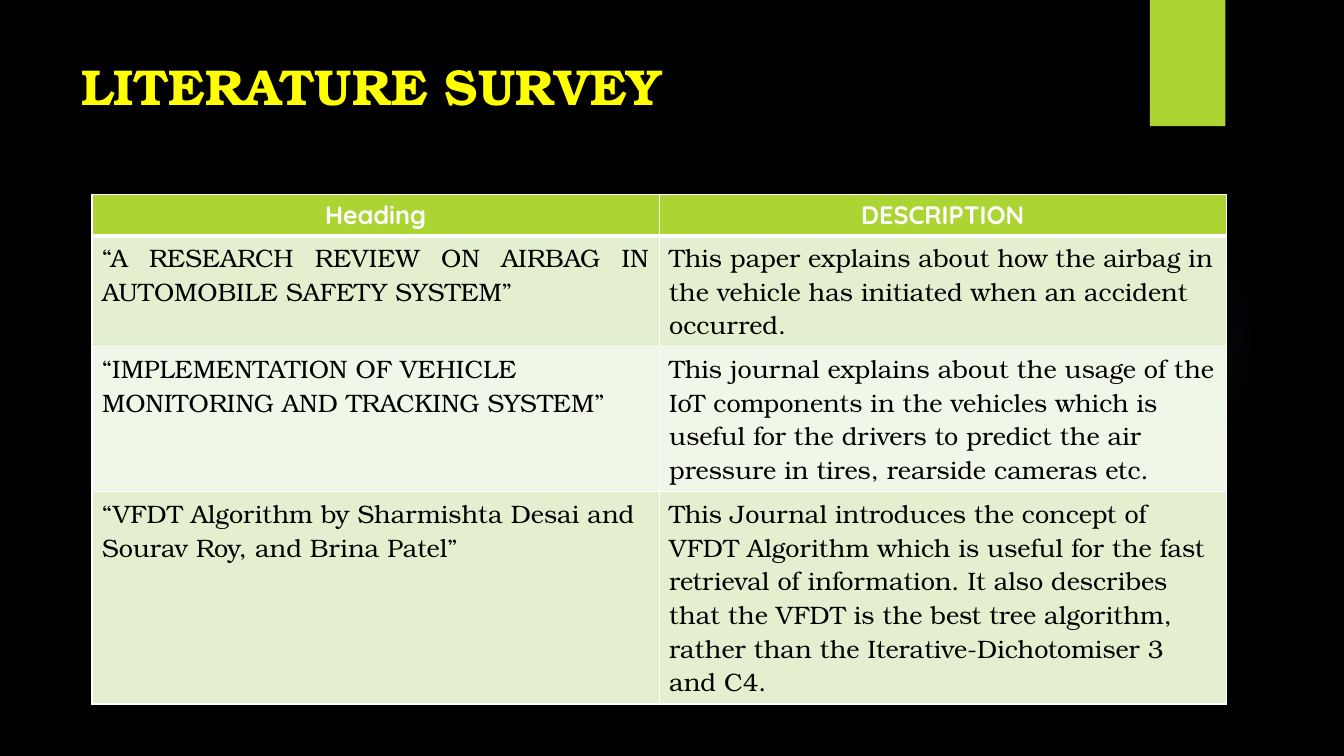
import lxml.etree
import pptx
import pptx.dml.color
import pptx.enum.shapes
import pptx.enum.text
import pptx.oxml
import pptx.oxml.ns
import pptx.util

Cm = pptx.util.Cm
Pt = pptx.util.Pt
RGBColor = pptx.dml.color.RGBColor
Align = pptx.enum.text.PP_ALIGN
Shape = pptx.enum.shapes.MSO_SHAPE

BLACK = RGBColor(0x00, 0x00, 0x00)
WHITE = RGBColor(0xFF, 0xFF, 0xFF)
YELLOW = RGBColor(0xFF, 0xFF, 0x00)
LIME = RGBColor(0xAC, 0xD4, 0x33)
BANDS = (RGBColor(0xE3, 0xEF, 0xCE), RGBColor(0xF1, 0xF7, 0xE8))
SKY = RGBColor(0x7A, 0xC4, 0xF0)

SERIF = "TeX Gyre Bonum"
SANS = "Quicksand"

HEADINGS = ("Heading", "DESCRIPTION")
# Title, description, alignment of the title, lines in the description
PAPERS = (
    ("“A RESEARCH REVIEW ON AIRBAG IN AUTOMOBILE SAFETY SYSTEM”",
     "This paper explains about how the airbag in the vehicle has initiated "
     "when an accident occurred.", Align.JUSTIFY, 3),
    ("“IMPLEMENTATION OF VEHICLE MONITORING AND TRACKING SYSTEM”",
     "This journal explains about the usage of the IoT components in the "
     "vehicles which is useful for the drivers to predict the air pressure "
     "in tires, rearside cameras etc.", Align.LEFT, 4),
    ("“VFDT Algorithm by Sharmishta Desai and Sourav Roy, and Brina Patel”",
     "This Journal introduces the concept of VFDT Algorithm which is useful "
     "for the fast retrieval of information. It also describes that the VFDT "
     "is the best tree algorithm, rather than the Iterative-Dichotomiser 3 "
     "and C4.", Align.LEFT, 6),
)


class SurveySlide:
    """Holds the page and draws each kind of element in the slide's style."""

    def __init__(self, deck):
        self.page = deck.slides.add_slide(deck.slide_layouts[6])
        self.page.background.fill.solid()
        self.page.background.fill.fore_color.rgb = BLACK

    def shape(self, kind, left, top, width, height, color):
        shape = self.page.shapes.add_shape(
            kind, Cm(left), Cm(top), Cm(width), Cm(height))
        shape.shadow.inherit = False
        shape.fill.solid()
        shape.fill.fore_color.rgb = color
        shape.line.fill.background()
        return shape

    def glow(self, left, top, size, color):
        """Draw a circle that fades out from its centre."""
        circle = self.shape(Shape.OVAL, left, top, size, size, color)
        stops = "".join(
            f'<a:gs pos="{place}000"><a:srgbClr val="{color}">'
            f'<a:alpha val="{alpha}000"/></a:srgbClr></a:gs>'
            for place, alpha in ((0, 7), (36, 6), (69, 0)))
        gradient = pptx.oxml.parse_xml(
            f'<a:gradFill {pptx.oxml.ns.nsdecls("a")}><a:gsLst>{stops}</a:gsLst>'
            '<a:path path="circle"><a:fillToRect l="50000" t="50000" '
            'r="50000" b="50000"/></a:path></a:gradFill>')
        properties = circle.element.spPr
        solid = properties.find(pptx.oxml.ns.qn("a:solidFill"))
        properties.replace(solid, gradient)

    def set_text(self, frame, text, size, font, color, bold=False, align=Align.LEFT):
        para = frame.paragraphs[0]
        para.text = text
        para.alignment = align
        para.font.size = Pt(size)
        para.font.name = font
        para.font.bold = bold
        para.font.color.rgb = color

    def title(self, text, left, top, width, height):
        box = self.page.shapes.add_textbox(Cm(left), Cm(top), Cm(width), Cm(height))
        box.text_frame.word_wrap = True
        self.set_text(box.text_frame, text, 36, SERIF, YELLOW, bold=True)

    def border(self, cell, bottom, top):
        properties = cell._tc.get_or_add_tcPr()
        for side, points in (("L", 1), ("R", 1), ("T", top), ("B", bottom)):
            line = lxml.etree.SubElement(
                properties, pptx.oxml.ns.qn(f"a:ln{side}"), w=str(Pt(points)))
            fill = lxml.etree.SubElement(line, pptx.oxml.ns.qn("a:solidFill"))
            lxml.etree.SubElement(
                fill, pptx.oxml.ns.qn("a:srgbClr"), val=str(WHITE))

    def table(self, left, top, column_width, heights):
        frame = self.page.shapes.add_table(
            len(heights), 2, Cm(left), Cm(top),
            Cm(2 * column_width), Cm(sum(heights)))
        for column in frame.table.columns:
            column.width = Cm(column_width)
        for row, height in zip(frame.table.rows, heights):
            row.height = Cm(height)
        return frame.table

    def cell(self, cell, text, fill, bottom=1, top=1, **style):
        self.border(cell, bottom, top)
        cell.fill.solid()
        cell.fill.fore_color.rgb = fill
        self.set_text(cell.text_frame, text, 18, **style)


def main():
    deck = pptx.Presentation()
    deck.slide_width = Cm(33.87)
    deck.slide_height = Cm(19.05)
    slide = SurveySlide(deck)

    slide.glow(23.9, 4.65, 7.82, SKY)
    slide.shape(Shape.RECTANGLE, 28.98, 0, 1.9, 3.18, LIME)
    slide.title("LITERATURE SURVEY", 1.8, 1.27, 26.14, 2.62)

    heights = [1.04] + [0.25 + 0.85 * lines for *_, lines in PAPERS]
    table = slide.table(2.32, 4.9, 14.29, heights)
    for column, heading in enumerate(HEADINGS):
        slide.cell(table.cell(0, column), heading, LIME, bottom=3,
                   font=SANS, color=WHITE, bold=True, align=Align.CENTER)
    for row, (paper, description, align, _) in enumerate(PAPERS, start=1):
        band = BANDS[(row - 1) % 2]
        top = 3 if row == 1 else 1
        slide.cell(table.cell(row, 0), paper, band, top=top,
                   font=SERIF, color=BLACK, align=align)
        slide.cell(table.cell(row, 1), description, band, top=top,
                   font=SERIF, color=BLACK)

    deck.save("out.pptx")


if __name__ == "__main__":
    main()
